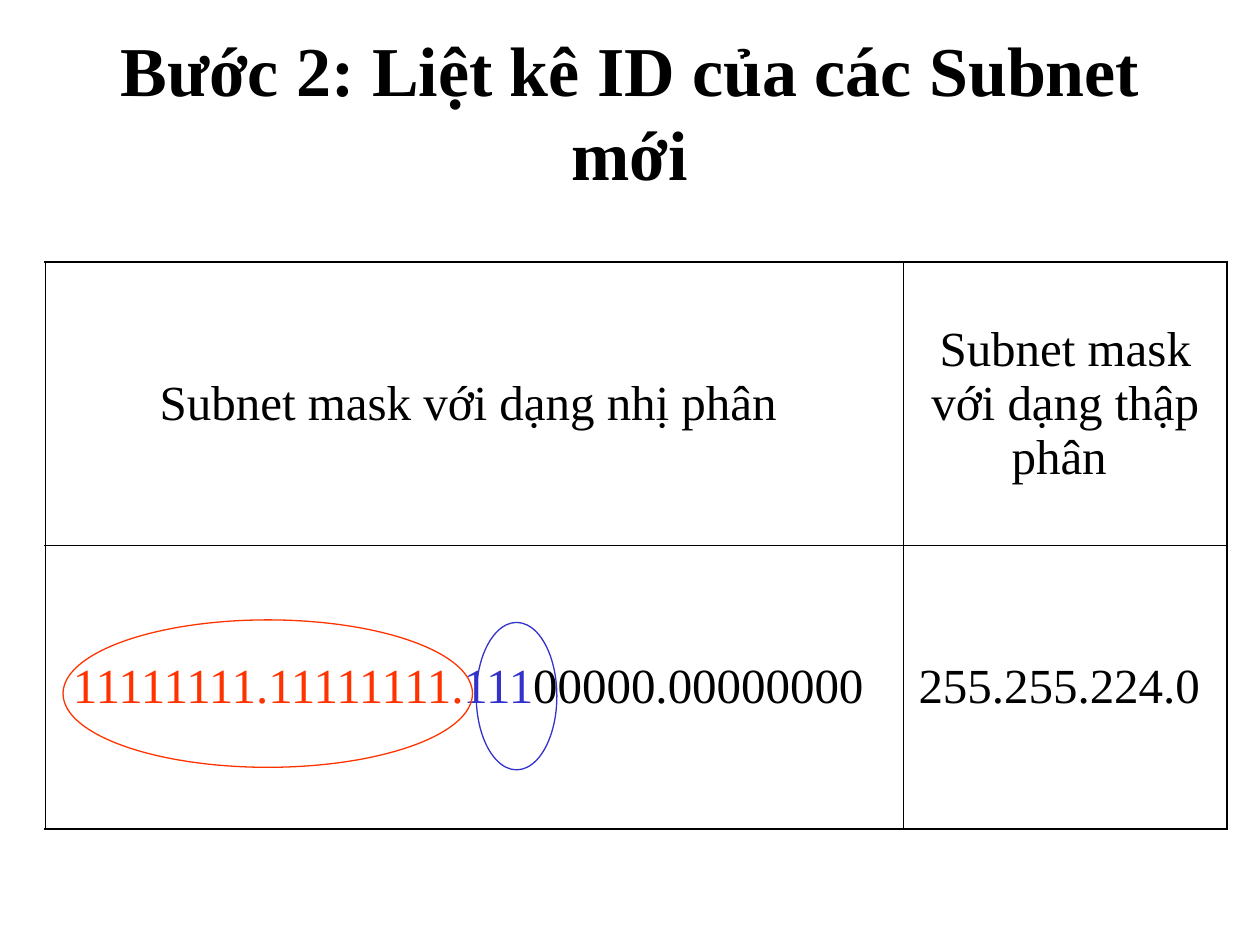
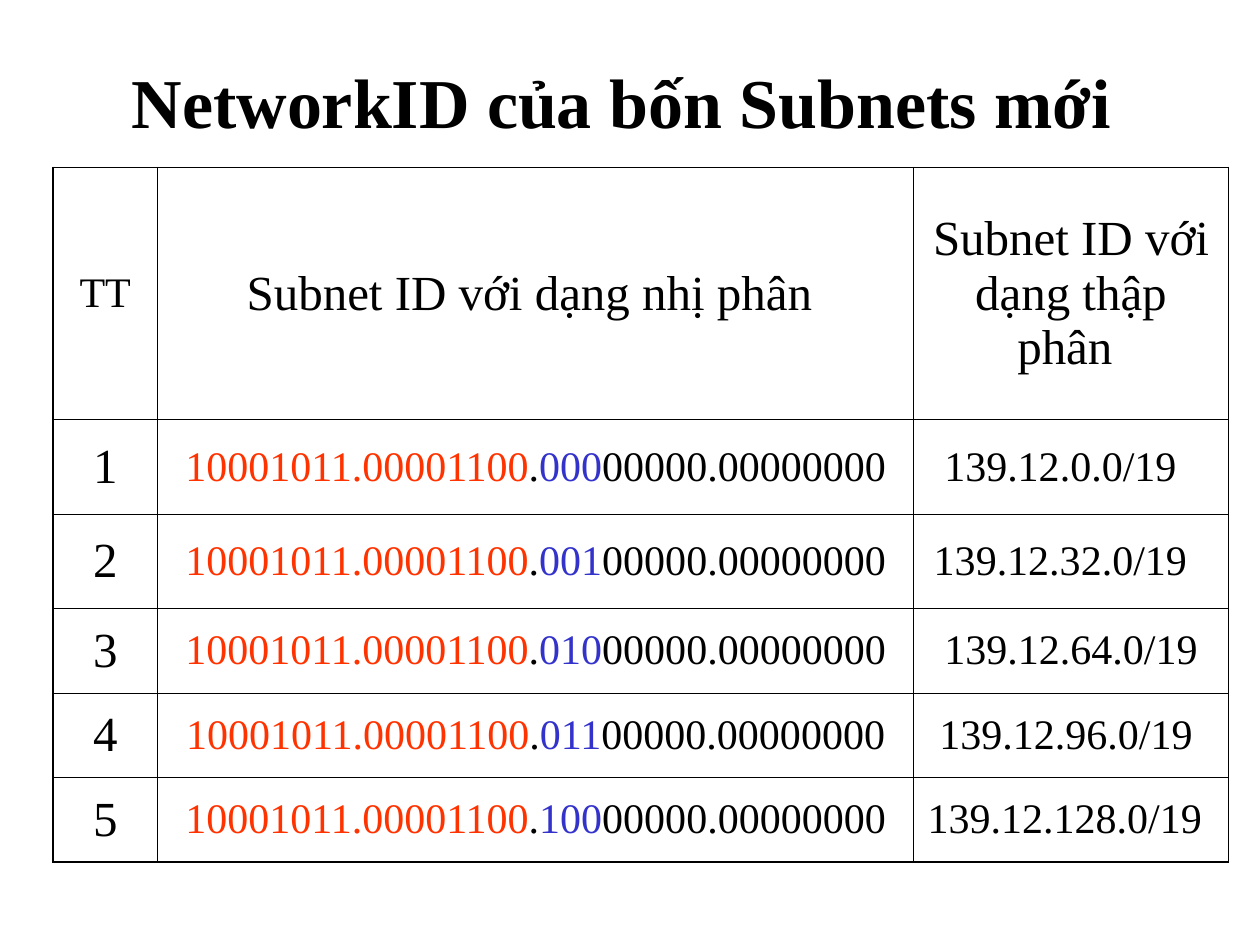
from dataclasses import dataclass

import pptx
import pptx.dml.color
import pptx.enum.shapes
import pptx.enum.text
import pptx.oxml
import pptx.oxml.ns
import pptx.util
from pptx.util import Inches

# Shared look
HUES = {"ink": "000000", "net": "FF3300", "sub": "3333CC"}
FONT = "Times New Roman"
OUTER, INNER = 1.08, 0.45
LARGE, SMALL = 28, 24


@dataclass
class Run:
    text: str
    size: float = LARGE
    hue: str = "ink"
    bold: bool = False


@dataclass
class Entry:
    runs: list[Run]
    pad: float = 0  # extra right margin in inches


@dataclass
class Ring:
    left: float
    top: float
    width: float
    height: float
    hue: str


def color(hue: str) -> pptx.dml.color.RGBColor:
    return pptx.dml.color.RGBColor.from_string(HUES[hue])


def write(frame, runs: list[Run]) -> None:
    """Fill the frame with one centred paragraph."""
    line = frame.paragraphs[0]
    line.alignment = pptx.enum.text.PP_ALIGN.CENTER
    line.space_before = pptx.util.Pt(0)
    for part in runs:
        run = line.add_run()
        run.text = part.text
        run.font.name = FONT
        run.font.size = pptx.util.Pt(part.size)
        run.font.bold = part.bold
        run.font.color.rgb = color(part.hue)


def add_page(deck, title: str, height: float):
    page = deck.slides.add_slide(deck.slide_layouts[5])
    head = page.shapes.title
    head.left, head.top = Inches(0.75), Inches(0.17)
    head.width, head.height = Inches(8.5), Inches(height)
    head.text_frame.vertical_anchor = pptx.enum.text.MSO_ANCHOR.MIDDLE
    write(head.text_frame, [Run(title, 40, bold=True)])
    return page


def add_edge(cell, side: str, width: float) -> None:
    edge = pptx.oxml.parse_xml(
        f'<a:ln{side} {pptx.oxml.ns.nsdecls("a")} w="{pptx.util.Pt(width)}">'
        f'<a:solidFill><a:srgbClr val="{HUES["ink"]}"/></a:solidFill></a:ln{side}>'
    )
    cell._tc.get_or_add_tcPr().append(edge)


def add_grid(page, left: float, top: float, cols: list[float],
             rows: list[float], data: list[list[Entry]]) -> None:
    """Draw a table with a heavier outer frame."""
    grid = page.shapes.add_table(
        len(rows), len(cols), Inches(left), Inches(top),
        Inches(sum(cols)), Inches(sum(rows))).table
    grid.first_row = grid.horz_banding = False
    for col, width in zip(grid.columns, cols):
        col.width = Inches(width)
    for row, height in zip(grid.rows, rows):
        row.height = Inches(height)
    for r, line in enumerate(data):
        for c, entry in enumerate(line):
            cell = grid.cell(r, c)
            rims = {"L": c == 0, "R": c == len(cols) - 1,
                    "T": r == 0, "B": r == len(rows) - 1}
            for side, rim in rims.items():
                add_edge(cell, side, OUTER if rim else INNER)
            cell.fill.background()
            cell.vertical_anchor = pptx.enum.text.MSO_ANCHOR.MIDDLE
            cell.margin_right = Inches(0.1 + entry.pad)
            write(cell.text_frame, entry.runs)


def add_ring(page, ring: Ring) -> None:
    oval = page.shapes.add_shape(
        pptx.enum.shapes.MSO_SHAPE.OVAL, Inches(ring.left), Inches(ring.top),
        Inches(ring.width), Inches(ring.height))
    oval.shadow.inherit = False
    oval.fill.background()
    oval.line.color.rgb = color(ring.hue)
    oval.line.width = pptx.util.Pt(0.75)


def plain(text: str) -> Entry:
    return Entry([Run(text)])


def mask_page(deck) -> None:
    page = add_page(deck, "Bước 2: Liệt kê ID của các Subnet mới", 1.42)
    bits = Entry([Run("11111111.11111111.", hue="net"),
                  Run("111", hue="sub"), Run("00000.00000000 ")])
    data = [[plain("Subnet mask với dạng nhị phân "),
             plain("Subnet mask với dạng thập phân ")],
            [bits, plain("255.255.224.0 ")]]
    add_grid(page, 0.36, 2.08, [6.81, 2.57], [2.25, 2.25], data)

    # Rings around the network bits and the subnet bits
    for ring in (Ring(0.5, 4.92, 3.25, 1.17, "net"),
                 Ring(3.78, 4.94, 0.64, 1.17, "sub")):
        add_ring(page, ring)


def subnet_page(deck) -> None:
    page = add_page(deck, "NetworkID của bốn Subnets mới ", 1.25)
    data = [[Entry([Run("TT", SMALL)]),
             plain("Subnet ID với dạng nhị phân "),
             plain("Subnet ID với dạng thập phân ")]]

    # Each subnet starts 32 above the one before
    for step, pad in enumerate([0.17, 0.17, 0, 0.08, 0.1]):
        bits = Entry([Run("10001011.00001100", SMALL, "net"), Run(".", SMALL),
                      Run(f"{step:03b}", SMALL, "sub"),
                      Run("00000.00000000", SMALL)])
        block = Entry([Run(f"139.12.{32 * step}.0/19", SMALL)], pad)
        data.append([plain(str(step + 1)), bits, block])
    add_grid(page, 0.42, 1.33, [0.83, 6, 2.5],
             [2] + [0.75] * 2 + [0.67] * 3, data)


def main() -> None:
    deck = pptx.Presentation()
    deck.slide_width, deck.slide_height = Inches(10), Inches(7.5)
    mask_page(deck)
    subnet_page(deck)
    deck.save("out.pptx")


if __name__ == "__main__":
    main()
